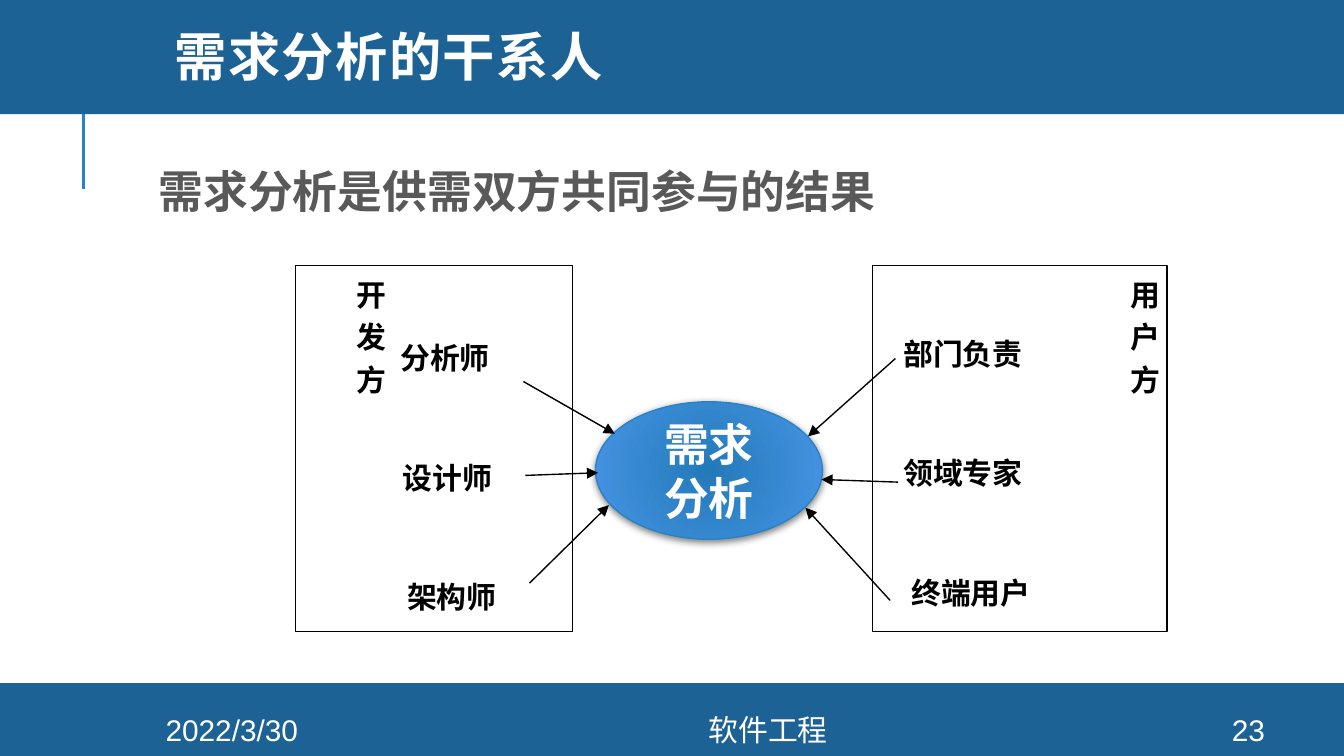
from pptx import Presentation
from pptx.dml.color import RGBColor
from pptx.enum.shapes import MSO_CONNECTOR, MSO_SHAPE
from pptx.enum.text import MSO_ANCHOR, PP_ALIGN
from pptx.oxml import parse_xml
from pptx.oxml.ns import nsdecls, qn
from pptx.util import Pt

RECT, OVAL = MSO_SHAPE.RECTANGLE, MSO_SHAPE.OVAL
STRAIGHT = MSO_CONNECTOR.STRAIGHT
TOP, MIDDLE = MSO_ANCHOR.TOP, MSO_ANCHOR.MIDDLE
LEFT, CENTER, JUSTIFY = PP_ALIGN.LEFT, PP_ALIGN.CENTER, PP_ALIGN.JUSTIFY

NAVY = RGBColor(0x1D, 0x62, 0x94)
BLUE = RGBColor(0x26, 0x83, 0xC6)
CORE_BLUE = RGBColor(0x23, 0x7A, 0xB8)
RIM_BLUE = RGBColor(0x48, 0x95, 0xE7)
GREY = RGBColor(0x59, 0x59, 0x59)
BLACK = RGBColor(0, 0, 0)
WHITE = RGBColor(255, 255, 255)

SANS, SERIF, CJK = "Arial", "Times New Roman", "Noto Sans CJK SC"
WIDTH, HEIGHT = 720, 405


def write(shape, text, size, color, bold=True, font=SANS, align=LEFT,
          spacing=1.0, anchor=TOP, insets=(7.2, 3.6, 7.2, 3.6), tracking=0):
    frame = shape.text_frame
    frame.word_wrap = True
    frame.vertical_anchor = anchor
    (frame.margin_left, frame.margin_top,
     frame.margin_right, frame.margin_bottom) = map(Pt, insets)
    frame.text = text
    paragraph = frame.paragraphs[0]
    paragraph.alignment = align
    paragraph.line_spacing = spacing
    style = paragraph.font
    style.size, style.bold, style.name = Pt(size), bold, font
    style.color.rgb = color
    # East Asian typeface and letter spacing
    properties = paragraph._p.pPr.find(qn("a:defRPr"))
    properties.append(parse_xml(f'<a:ea {nsdecls("a")} typeface="{CJK}"/>'))
    if tracking:
        properties.set("spc", str(round(tracking * 100)))


def add_text(slide, box, text, size, color, **style):
    label = slide.shapes.add_textbox(*map(Pt, box))
    write(label, text, size, color, **style)
    return label


def add_block(slide, kind, box, fill=None, line=None):
    block = slide.shapes.add_shape(kind, *map(Pt, box))
    block.shadow.inherit = False
    if fill is None:
        block.fill.background()
    else:
        block.fill.solid()
        block.fill.fore_color.rgb = fill
    if line is None:
        block.line.fill.background()
    else:
        block.line.color.rgb = line
        block.line.width = Pt(0.75)
    return block


def add_line(slide, start, end, color, width, arrow=False):
    line = slide.shapes.add_connector(STRAIGHT, *map(Pt, (*start, *end)))
    line.line.color.rgb = color
    line.line.width = Pt(width)
    if arrow:
        line.line._get_or_add_ln().append(
            parse_xml(f'<a:tailEnd {nsdecls("a")} type="triangle"/>'))
    line._element.spPr.append(parse_xml(f'<a:effectLst {nsdecls("a")}/>'))


def add_header(slide, box):
    left, top, width, height = box
    add_line(slide, (left + 44.6, top + height), (left + 44.6, top + 103),
             BLUE, 1.5)
    add_block(slide, RECT, box, NAVY)
    title = slide.shapes.title
    title.left, title.top = Pt(left + 86.4), Pt(0)
    title.width, title.height = Pt(611), Pt(65.5)
    write(title, "需求分析的干系人", 28, WHITE, spacing=0.8, anchor=MIDDLE,
          tracking=0.8)
    # Bring the title in front of its band
    title._element.getparent().append(title._element)


def add_footer(slide, box):
    left, top, width, height = box
    add_block(slide, RECT, box, NAVY)
    for x, field_width, text in ((60.5, 127.4, "2022/3/30"),
                                 (188, 447, "软件工程"),
                                 (640, 57.6, "23")):
        add_text(slide, (left + x, top + 16.5, field_width, 16.6), text, 16,
                 WHITE, bold=False, align=CENTER, anchor=MIDDLE)


def add_core(slide, box):
    core = add_block(slide, OVAL, box, line=BLUE)
    core.fill.gradient()
    for stop, color in zip(core.fill.gradient_stops, (CORE_BLUE, RIM_BLUE)):
        stop.color.rgb = color
    # Radial gradient and soft shadow
    properties = core._element.spPr
    linear = properties.find(".//" + qn("a:lin"))
    linear.getparent().replace(linear, parse_xml(
        f'<a:path {nsdecls("a")} path="circle"><a:fillToRect l="50000" '
        't="50000" r="50000" b="50000"/></a:path>'))
    properties.find(qn("a:effectLst")).append(parse_xml(
        f'<a:outerShdw {nsdecls("a")} blurRad="{Pt(4)}" dist="{Pt(1)}" '
        'dir="5400000" rotWithShape="0"><a:srgbClr val="000000">'
        '<a:alpha val="50000"/></a:srgbClr></a:outerShdw>'))
    write(core, "需求分析", 24, WHITE, align=CENTER, anchor=MIDDLE,
          insets=(10, 3.6, 10, 3.6))


def add_party(slide, box, party, party_x, roles, role_width, spacing):
    left, top, width, height = box
    add_block(slide, RECT, box, line=BLACK)
    # Vertical party name
    name = add_text(slide, (left + party_x - 12, top + 7.5, 24, 80), party,
                    16, BLACK, font=CJK, anchor=MIDDLE, insets=(0, 0, 0, 0),
                    tracking=7)
    name.text_frame._txBody.bodyPr.set("vert", "eaVert")
    # Roles, each with an arrow to the core
    for row, (role, x, start, end) in enumerate(roles):
        add_text(slide, (left + x, top + 41 + 64 * row, role_width, 23), role,
                 16, BLACK, font=SERIF, align=JUSTIFY, spacing=spacing,
                 insets=(7.2, 0, 7.2, 3.6))
        add_line(slide, (left + start[0], top + start[1]),
                 (left + end[0], top + end[1]), BLACK, 0.75, arrow=True)


def main():
    deck = Presentation()
    deck.slide_width, deck.slide_height = Pt(WIDTH), Pt(HEIGHT)
    slide = deck.slides.add_slide(deck.slide_layouts[5])

    add_header(slide, (0, -2, WIDTH, 63.2))
    add_text(slide, (77.8, 78.5, 503, 39), "需求分析是供需双方共同参与的结果",
             24, GREY, spacing=1.2)

    # Both parties around the core
    add_core(slide, (319, 215.3, 121.6, 73.6))
    developer_roles = (
        ("分析师", 49, (122, 62), (171, 90)),
        ("设计师", 50.4, (123, 112.3), (162, 110.9)),
        ("架构师", 52.6, (125.3, 170), (167.8, 128.2)),
    )
    user_roles = (
        ("部门负责", 9.4, (12.2, 49.7), (-34.6, 91.4)),
        ("领域专家", 9.4, (13.7, 115.9), (-27.4, 114.5)),
        ("终端用户", 13.7, (9.4, 179.3), (-36, 129.6)),
    )
    add_party(slide, (158.4, 142.4, 148.3, 196), "开发方", 39.8,
              developer_roles, 74, 0.96)
    add_party(slide, (467.5, 142.4, 157.7, 196), "用户方", 145.3,
              user_roles, 92, 0.8)

    add_footer(slide, (0, 366, WIDTH, 39))
    deck.save("out.pptx")


if __name__ == "__main__":
    main()
